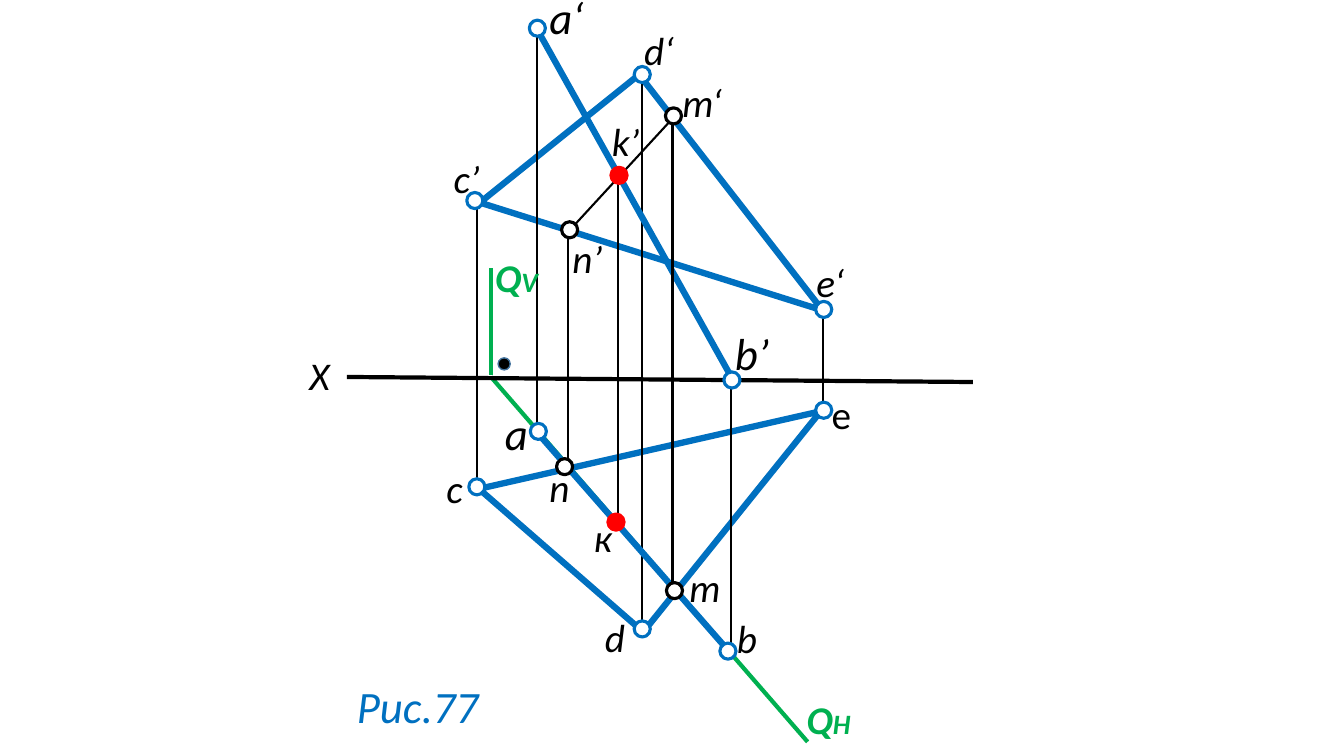
from lxml import etree
from pptx import Presentation
from pptx.dml.color import RGBColor
from pptx.enum.shapes import MSO_CONNECTOR, MSO_SHAPE
from pptx.enum.text import MSO_AUTO_SIZE
from pptx.oxml.ns import qn
from pptx.util import Inches, Pt

STRAIGHT = MSO_CONNECTOR.STRAIGHT
OVAL = MSO_SHAPE.OVAL
GROW = MSO_AUTO_SIZE.SHAPE_TO_FIT_TEXT
BLACK, WHITE, RED = "000000", "FFFFFF", "FF0000"
BLUE, GREEN, NAVY = "0070C0", "00B050", "43739E"
THIN, MEDIUM, THICK = 1.5, 3, 4.5


def rgb(value):
    return RGBColor.from_string(value)


def grid(cells):
    return Inches(cells / 10)


class Drawing:
    font = "Calibri"

    def __init__(self, slide):
        self.s = slide

    def outline(self, sp, color, width):
        sp.line.color.rgb = rgb(color)
        sp.line.width = Pt(width)

    def line(self, x1, y1, x2, y2, color=BLACK, width=THIN):
        sp = self.s.shapes.add_connector(
            STRAIGHT, grid(x1), grid(y1), grid(x2), grid(y2))
        self.outline(sp, color, width)
        etree.SubElement(sp._element.spPr, qn("a:effectLst"))

    def triangle(self, *corners):
        points = [(grid(x), grid(y)) for x, y in corners]
        builder = self.s.shapes.build_freeform(*points[0], scale=1.0)
        builder.add_line_segments(points[1:], close=True)
        sp = builder.convert_to_shape()
        sp.shadow.inherit = False
        sp.fill.background()
        self.outline(sp, BLUE, THICK)

    def point(self, x, y, color=BLUE, fill=WHITE, size=1.6, width=2.25):
        sp = self.s.shapes.add_shape(
            OVAL, grid(x - size / 2), grid(y - size / 2), grid(size), grid(size))
        sp.shadow.inherit = False
        sp.fill.solid()
        sp.fill.fore_color.rgb = rgb(fill)
        self.outline(sp, color, width)

    def label(self, x, y, w, *runs, color=BLACK, bold=False, italic=True):
        height = 6.4 if runs[0][1] == 32 else 5.7
        sp = self.s.shapes.add_textbox(grid(x), grid(y), grid(w), grid(height))
        tf = sp.text_frame
        tf.word_wrap = True
        tf.auto_size = GROW
        tf.margin_right = 0
        p = tf.paragraphs[0]
        for text, size in runs:
            r = p.add_run()
            r.text = text
            r.font.name = self.font
            r.font.size = Pt(size)
            r.font.bold = bold
            r.font.italic = italic
            r.font.color.rgb = rgb(color)


def main():
    prs = Presentation()
    prs.slide_width = Inches(13.33)
    prs.slide_height = Inches(7.5)
    d = Drawing(prs.slides.add_slide(prs.slide_layouts[6]))

    d.line(67.4, 11, 57, 22.3)
    d.line(56.3, 22.6, 56.3, 46.3)
    d.line(80.1, 73.6, 48.7, 37.4, GREEN, MEDIUM)
    d.triangle((47.6, 20.1), (63.4, 7.4), (81.6, 30.8))
    d.triangle((47.5, 48.5), (63.8, 62.7), (81.4, 40.8))
    d.line(96.5, 37.9, 34.4, 37.4, BLACK, MEDIUM)

    for x, top, bottom in ((47.3, 19.8, 48.5), (72.5, 37.7, 64.5),
                           (63.7, 7.6, 62.8), (81.6, 30.8, 41)):
        d.line(x, top, x, bottom)
    d.line(72.7, 37.7, 53.1, 2.6, BLUE, THICK)
    d.line(53.3, 3.1, 53.3, 43.2)
    d.line(72.2, 64.5, 53.1, 42.7, BLUE, THICK)
    d.line(48.7, 26.6, 48.7, 37.2, GREEN, MEDIUM)
    for x, top, bottom in ((66.7, 10.9, 59), (61.3, 17.4, 52.2)):
        d.line(x, top, x, bottom)

    for x, y in ((63.7, 7.4), (81.7, 30.7), (47.1, 19.9), (47.3, 48.3),
                 (81.7, 40.7), (63.7, 62.4), (53.3, 2.8), (72.6, 37.7),
                 (72.2, 64.6), (53.4, 42.8)):
        d.point(x, y)
    for x, y in ((56, 46.3), (56.5, 22.8), (66.8, 11.5), (66.9, 58.6)):
        d.point(x, y, BLACK)
    for x, y in ((61.4, 17.4), (61.1, 51.8)):
        d.point(x, y, RED, RED)
    d.point(50, 36.1, NAVY, BLACK, size=1.2, width=1)

    for text, x, y, w in (
            ("X", 29.7, 34.4, 6.6), ("m", 67.4, 55.4, 4.3),
            ("m‘", 66.7, 7.3, 6.9), ("n", 53.5, 45.5, 4.3),
            ("n’", 55.8, 22.8, 5.3), ("b", 72.1, 60.5, 4),
            ("к", 57.9, 50.4, 4.7), ("c", 43.3, 45.6, 5.3),
            ("k’", 59.7, 11.1, 5.1), ("c’", 44, 14.8, 5.3),
            ("d‘", 62.9, 2.1, 5.4), ("d", 59, 60.4, 4.7),
            ("e‘", 80, 25.1, 7.4)):
        d.label(x, y, w, (text, 28))
    d.label(81.5, 38.2, 4.7, ("e", 28), italic=False)
    for text, x, y, w in (("a", 49.1, 39.8, 3.9), ("a‘", 53.5, -1.5, 6.3),
                          ("b’", 71.9, 31.8, 6.3)):
        d.label(x, y, w, (text, 32))
    for index, x, y, w in (("H", 79, 68.5, 7.7), ("V", 48.1, 24.6, 7)):
        d.label(x, y, w, ("Q", 28), (index, 20), color=GREEN, bold=True)
    d.label(34.4, 66.8, 18.2, ("Рис.77", 32), color=BLUE)

    prs.save("out.pptx")


if __name__ == "__main__":
    main()
